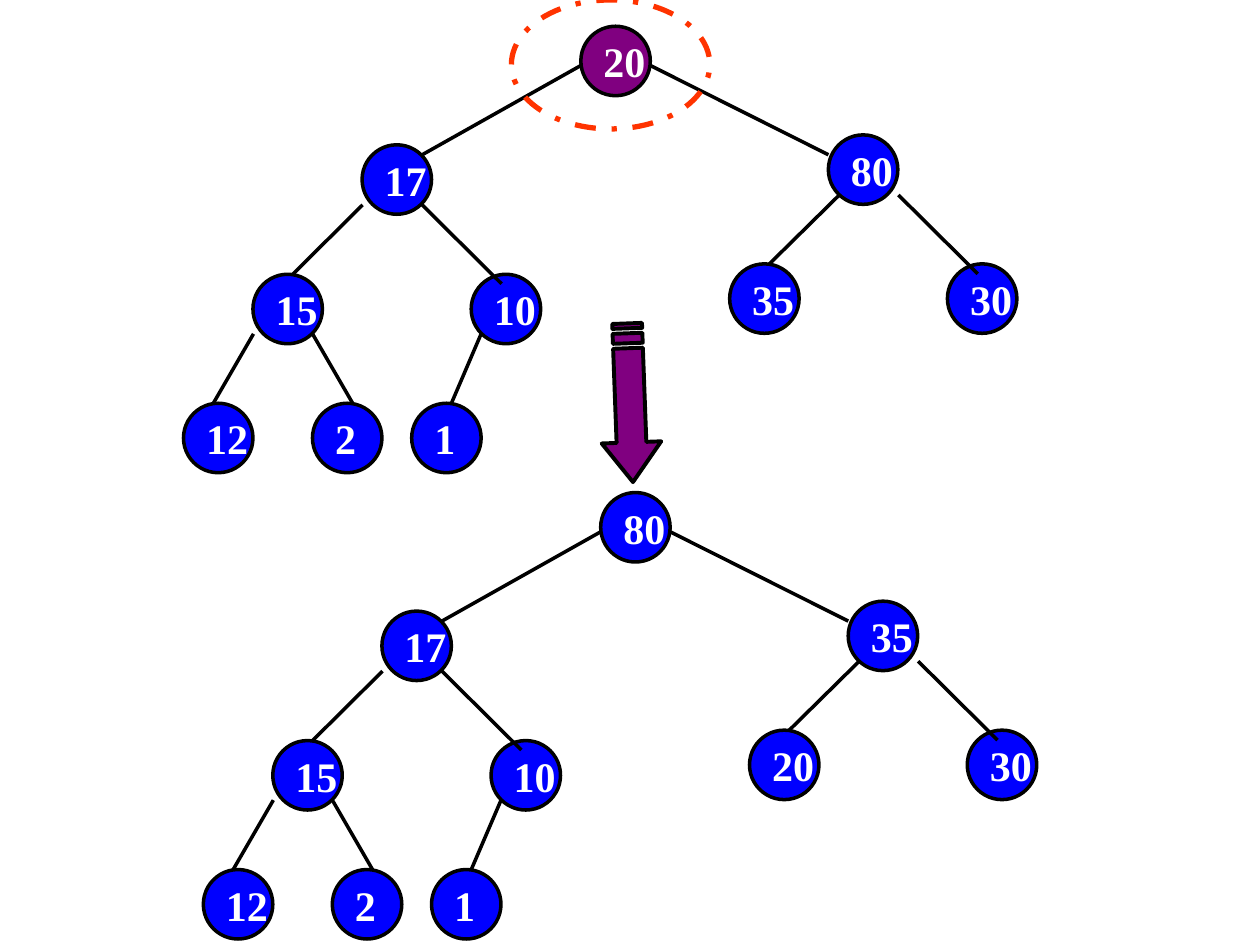
from dataclasses import dataclass

from lxml import etree
from pptx import Presentation
from pptx import util as u
from pptx.dml.color import RGBColor
from pptx.enum import dml, shapes, text
from pptx.oxml import ns
from pptx.shapes.group import GroupShape
from pptx.slide import Slide

BLACK = RGBColor(0x00, 0x00, 0x00)
WHITE = RGBColor(0xFF, 0xFF, 0xFF)
BLUE = RGBColor(0x00, 0x00, 0xFF)
PURPLE = RGBColor(0x80, 0x00, 0x80)
ORANGE = RGBColor(0xFF, 0x33, 0x00)

FONT = "Times New Roman"
DIAMETER = 1.4


@dataclass(frozen=True)
class Place:
    left: float
    top: float


@dataclass(frozen=True)
class Edge:
    x1: float
    y1: float
    x2: float
    y2: float


@dataclass(frozen=True)
class Heap:
    keys: tuple[str, ...]
    root_fill: RGBColor
    dx: float
    dy: float


PLACES = (
    Place(11.71, 0.53),
    Place(7.3, 2.92),
    Place(16.7, 2.72),
    Place(5.1, 5.53),
    Place(9.5, 5.53),
    Place(14.71, 5.32),
    Place(19.1, 5.32),
    Place(3.7, 8.13),
    Place(6.3, 8.13),
    Place(8.3, 8.13),
)
EDGES = (
    Edge(11.71, 1.32, 8.51, 3.12),
    Edge(13.11, 1.32, 16.7, 3.12),
    Edge(7.31, 4.13, 5.9, 5.53),
    Edge(8.51, 4.13, 10.11, 5.72),
    Edge(16.92, 3.93, 15.5, 5.33),
    Edge(18.11, 3.93, 19.71, 5.52),
    Edge(5.11, 6.73, 4.3, 8.13),
    Edge(6.3, 6.73, 7.11, 8.13),
    Edge(9.7, 6.73, 9.1, 8.13),
)
BEFORE = Heap(("20", "17", "80", "15", "10", "35", "30", "12", "2", "1"), PURPLE, 0, 0)
AFTER = Heap(("80", "17", "35", "15", "10", "20", "30", "12", "2", "1"), BLUE, 0.4, 9.4)


def draw_node(tree: GroupShape, key: str, left: float, top: float, fill: RGBColor) -> None:
    node = tree.shapes.add_shape(
        shapes.MSO_SHAPE.OVAL, u.Cm(left), u.Cm(top), u.Cm(DIAMETER), u.Cm(DIAMETER)
    )
    node.shadow.inherit = False
    node.fill.solid()
    node.fill.fore_color.rgb = fill
    node.line.color.rgb = BLACK
    node.line.width = u.Pt(2)
    frame = node.text_frame
    frame.word_wrap = False
    frame.vertical_anchor = text.MSO_ANCHOR.MIDDLE
    paragraph = frame.paragraphs[0]
    paragraph.alignment = text.PP_ALIGN.LEFT
    run = paragraph.add_run()
    run.text = key
    run.font.name = FONT
    run.font.size = u.Pt(24)
    run.font.bold = True
    run.font.color.rgb = WHITE


def draw_edge(tree: GroupShape, edge: Edge, dx: float, dy: float) -> None:
    branch = tree.shapes.add_connector(
        shapes.MSO_CONNECTOR.STRAIGHT,
        u.Cm(edge.x1 + dx),
        u.Cm(edge.y1 + dy),
        u.Cm(edge.x2 + dx),
        u.Cm(edge.y2 + dy),
    )
    branch.line.color.rgb = BLACK
    branch.line.width = u.Pt(2)
    etree.SubElement(branch._element.spPr, ns.qn("a:effectLst"))


def draw_heap(slide: Slide, heap: Heap) -> None:
    tree = slide.shapes.add_group_shape()
    for index, (key, place) in enumerate(zip(heap.keys, PLACES)):
        fill = BLUE if index else heap.root_fill
        draw_node(tree, key, place.left + heap.dx, place.top + heap.dy, fill)
    for edge in EDGES:
        draw_edge(tree, edge, heap.dx, heap.dy)


def draw_step_arrow(slide: Slide) -> None:
    left, middle = 11.1, 8.12
    half_head, half_shaft = 0.6, 0.3
    head = ((2.4, -half_shaft), (2.4, -half_head), (3.2, 0), (2.4, half_head), (2.4, half_shaft))
    contours = [((0.5, -half_shaft), *head, (0.5, half_shaft))]
    for start, end in ((0.2, 0.4), (0, 0.1)):
        contours.append(
            ((start, -half_shaft), (end, -half_shaft), (end, half_shaft), (start, half_shaft))
        )
    builder = None
    for contour in contours:
        points = [(u.Cm(left + x), u.Cm(middle + y)) for x, y in contour]
        if builder is None:
            builder = slide.shapes.build_freeform(*points[0])
        else:
            builder.move_to(*points[0])
        builder.add_line_segments(points[1:], close=True)
    arrow = builder.convert_to_shape()
    arrow.rotation = 87.9
    arrow.shadow.inherit = False
    arrow.fill.solid()
    arrow.fill.fore_color.rgb = PURPLE
    arrow.line.color.rgb = BLACK
    arrow.line.width = u.Pt(2.25)


def draw_root_highlight(slide: Slide) -> None:
    ring = slide.shapes.add_shape(
        shapes.MSO_SHAPE.OVAL, u.Cm(10.31), u.Cm(0), u.Cm(4), u.Cm(2.6)
    )
    ring.shadow.inherit = False
    ring.fill.background()
    ring.line.color.rgb = ORANGE
    ring.line.width = u.Pt(3)
    ring.line.dash_style = dml.MSO_LINE.DASH_DOT


def main() -> None:
    deck = Presentation()
    deck.slide_width = u.Cm(25.4)
    deck.slide_height = u.Cm(19.05)
    slide = deck.slides.add_slide(deck.slide_layouts[6])
    draw_step_arrow(slide)
    draw_heap(slide, BEFORE)
    draw_root_highlight(slide)
    draw_heap(slide, AFTER)
    deck.save("out.pptx")


if __name__ == "__main__":
    main()
